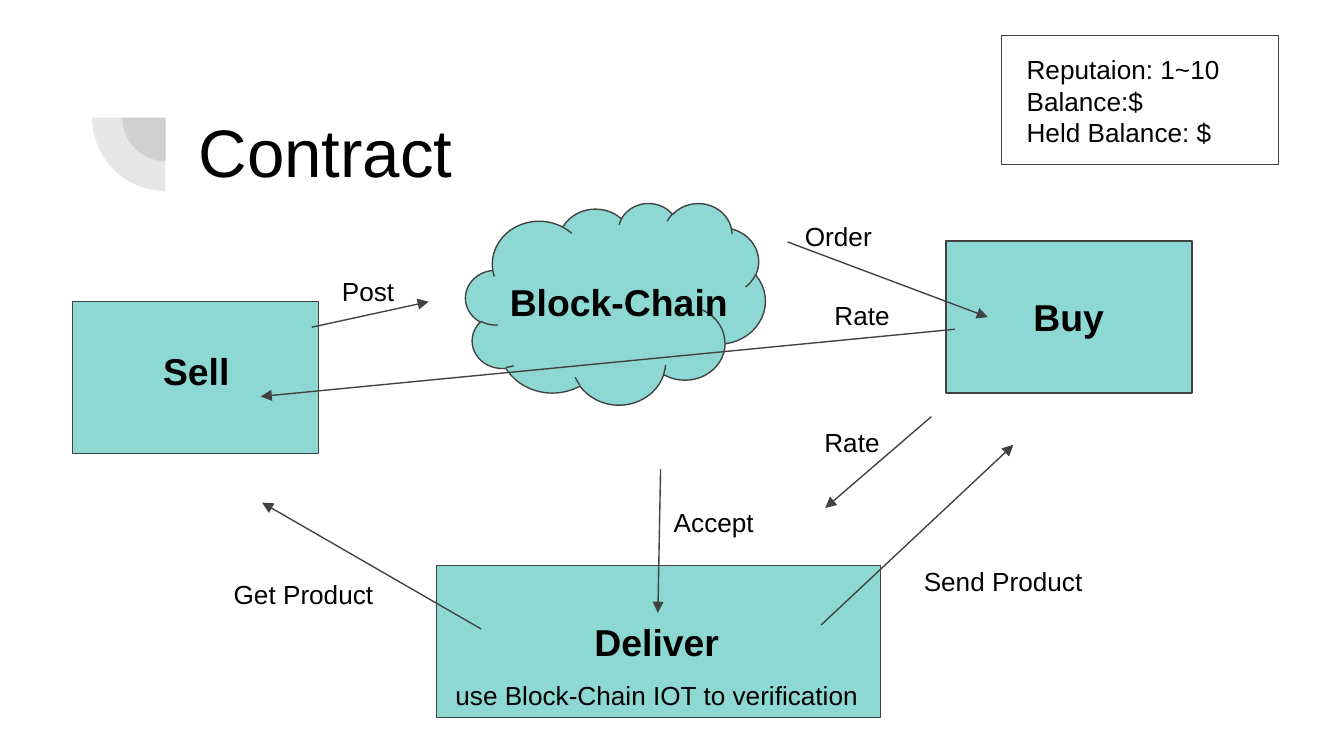
from lxml import etree
from pptx import Presentation
from pptx import util as u
from pptx.dml import color
from pptx.enum import shapes, text
from pptx.oxml import ns

SCALE = 4572
TEAL, GRAY, BLACK, WHITE = "8DD8D3", "424242", "000000", "FFFFFF"


def px(length):
    return u.Emu(length * SCALE)


def rgb(code):
    return color.RGBColor.from_string(code)


def apply(target, values):
    for name, value in values.items():
        setattr(target, name, value)


class Diagram:
    """Draws styled elements on one slide."""

    def __init__(self, deck):
        self.page = deck.slides.add_slide(deck.slide_layouts[6])
        fill = self.page.background.fill
        fill.solid()
        fill.fore_color.rgb = rgb(WHITE)
        self.frame = {"word_wrap": True, "auto_size": text.MSO_AUTO_SIZE.NONE,
                      "vertical_anchor": text.MSO_ANCHOR.TOP,
                      "margin_left": px(20), "margin_right": px(20),
                      "margin_top": px(20), "margin_bottom": px(20)}

    def stroke(self, line):
        line.color.rgb = rgb(GRAY)
        line.width = u.Pt(0.75)

    def shape(self, kind, area, fill=None):
        box = self.page.shapes.add_shape(kind, *map(px, area))
        box.shadow.inherit = False
        if fill:
            box.fill.solid()
            box.fill.fore_color.rgb = rgb(fill)
        else:
            box.fill.background()
        self.stroke(box.line)
        return box

    def quarter(self, area):
        pie = self.shape(shapes.MSO_SHAPE.PIE, area, GRAY)
        pie.adjustments[0], pie.adjustments[1] = 107.93, 162
        pie.rotation = 270
        pie.line.fill.background()
        tint = pie._element.spPr.find(".//" + ns.qn("a:srgbClr"))
        etree.SubElement(tint, ns.qn("a:alpha"), val="13000")

    def label(self, words, area, size=14, bold=False):
        box = self.page.shapes.add_textbox(*map(px, area))
        apply(box.text_frame, self.frame)
        box.text_frame.text = words
        for para in box.text_frame.paragraphs:
            for span in para.runs:
                apply(span.font, {"name": "Arial", "size": u.Pt(size), "bold": bold})
                span.font.color.rgb = rgb(BLACK)

    def arrow(self, ends):
        line = self.page.shapes.add_connector(shapes.MSO_CONNECTOR.STRAIGHT, *map(px, ends))
        self.stroke(line.line)
        etree.SubElement(line.line._get_or_add_ln(), ns.qn("a:tailEnd"), type="triangle")
        etree.SubElement(line._element.spPr, ns.qn("a:effectLst"))


def main():
    deck = Presentation()
    apply(deck, {"slide_width": px(2000), "slide_height": px(1125)})
    diagram = Diagram(deck)

    for area in ((182, 110, 130, 130), (137, 66, 218, 218)):
        diagram.quarter(area)

    rect, cloud = shapes.MSO_SHAPE.RECTANGLE, shapes.MSO_SHAPE.CLOUD
    actors = [
        ("Sell", rect, (108, 449, 366, 226), (223, 498, 166, 184)),
        ("Buy", rect, (1408, 359, 366, 226), (1518, 418, 166, 184)),
        ("Deliver", rect, (650, 842, 660, 226), (865, 902, 334, 184)),
        ("Block-Chain", cloud, (693, 302, 446, 300), (739, 395, 472, 184)),
    ]
    for name, kind, area, label_area in actors:
        diagram.shape(kind, area, TEAL)
        diagram.label(name, label_area, 20, True)

    steps = [
        ("Post", (489, 397, 150, 26), (464, 487, 638, 449)),
        ("Order", (1178, 308, 190, 52), (1172, 360, 1470, 472)),
        ("Accept", (983, 734, 348, 52), (983, 698, 979, 912)),
        ("Get Product", (328, 842, 348, 38), (716, 936, 390, 748)),
        ("Send Product", (1355, 823, 348, 38), (1222, 930, 1508, 662)),
        ("Rate", (1207, 616, 124, 38), (1386, 620, 1228, 756)),
        ("Rate", (1222, 427, 124, 38), (1421, 490, 388, 590)),
    ]
    for name, area, ends in steps:
        diagram.arrow(ends)
        diagram.label(name, area)

    diagram.label("Contract", (276, 144, 632, 52), 36)
    diagram.label("Reputaion: 1~10\nBalance:$\nHeld Balance: $", (1508, 60, 366, 184))
    diagram.shape(rect, (1490, 53, 413, 192))
    diagram.label("use Block-Chain IOT to verification", (658, 992, 754, 38))
    deck.save("out.pptx")


if __name__ == "__main__":
    main()
